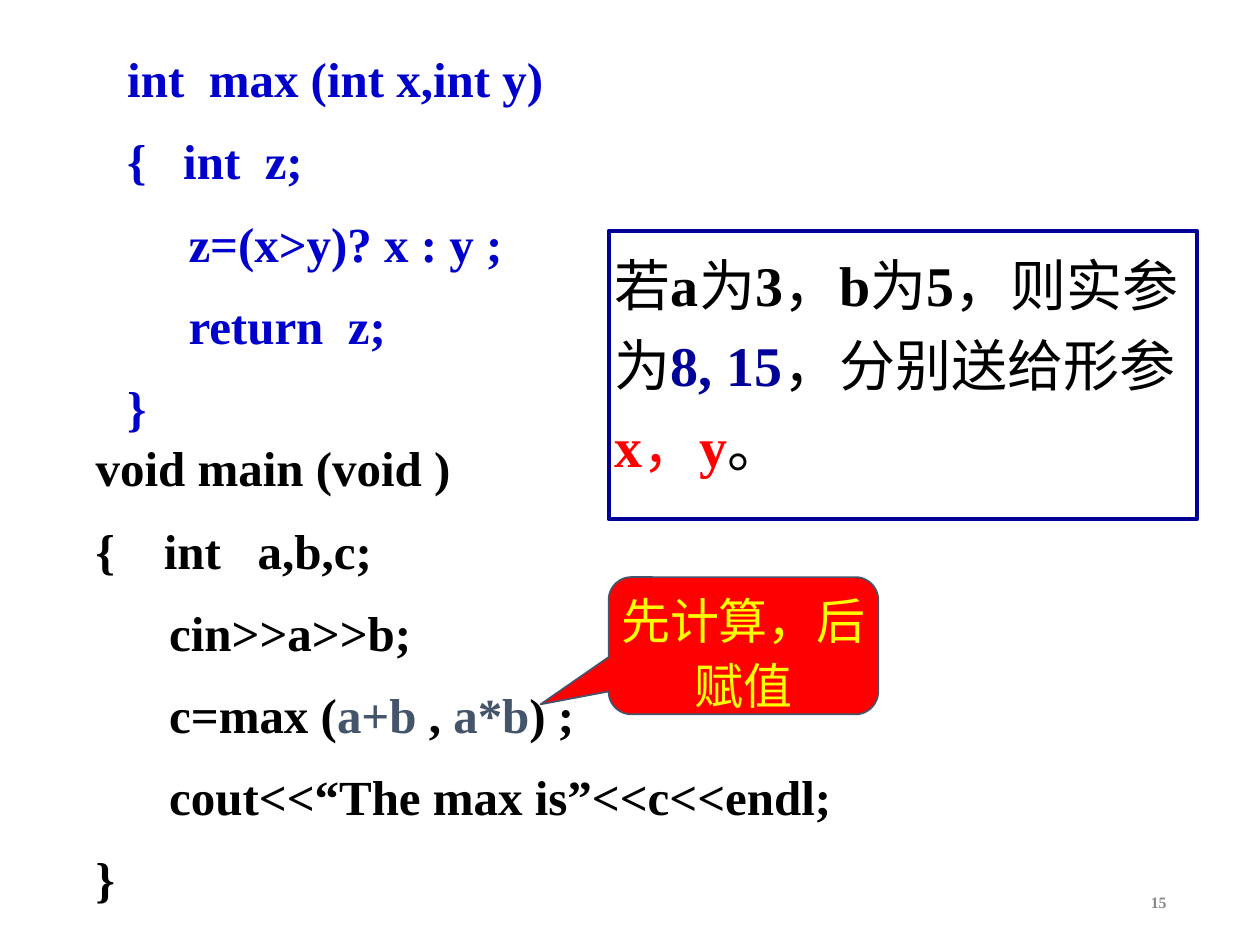
from dataclasses import dataclass

from pptx import Presentation
from pptx.dml.color import RGBColor
from pptx.enum.shapes import MSO_SHAPE as Preset
from pptx.enum.text import MSO_ANCHOR as Anchor, MSO_AUTO_SIZE as AutoSize, PP_ALIGN as Align
from pptx.oxml.ns import qn
from pptx.util import Pt


@dataclass(frozen=True)
class Theme:
    latin: str = "Times New Roman"
    chinese: str = "Noto Sans CJK SC"
    black: str = "000000"
    blue: str = "0000CC"
    navy: str = "000099"
    slate: str = "44546A"
    red: str = "FF0000"
    yellow: str = "FFFF00"
    grey: str = "888888"
    code_size: float = 28
    note_size: float = 32
    number_size: float = 9


THEME = Theme()
INDENT = 7


def add_run(paragraph, text, size, color, font=THEME.latin):
    run = paragraph.add_run()
    run.text = text
    run.font.size = Pt(size)
    run.font.name = font
    run.font.bold = font == THEME.latin
    run.font.color.rgb = RGBColor.from_string(color)
    east_asian = run.font._element.makeelement(qn("a:ea"), {"typeface": font})
    run.font._element.find(qn("a:latin")).addnext(east_asian)


def set_frame(frame, inset, anchor=Anchor.TOP, wrap=True, fit=True):
    frame.word_wrap = wrap
    frame.auto_size = AutoSize.SHAPE_TO_FIT_TEXT if fit else AutoSize.NONE
    frame.vertical_anchor = anchor
    frame.margin_left = frame.margin_right = Pt(inset)
    frame.margin_top = frame.margin_bottom = Pt(inset)


def set_paragraph(paragraph, spacing, before, align=Align.LEFT):
    paragraph.line_spacing = spacing
    paragraph.space_before = Pt(before)
    paragraph.alignment = align


def add_code(slide, box, lines):
    frame = slide.shapes.add_textbox(*map(Pt, box)).text_frame
    set_frame(frame, 0.72)
    for number, (indent, pieces) in enumerate(lines):
        line = frame.add_paragraph() if number else frame.paragraphs[0]
        set_paragraph(line, 1.1, 10)
        if indent:
            properties = line._p.get_or_add_pPr()
            properties.set("marL", str(Pt(indent * INDENT)))
            properties.set("indent", "0")
        for text, color in pieces:
            add_run(line, text, THEME.code_size, color)


def add_panel(slide, preset, box, border, width, fill=None):
    panel = slide.shapes.add_shape(preset, *map(Pt, box))
    panel.shadow.inherit = False
    if fill:
        panel.fill.solid()
        panel.fill.fore_color.rgb = RGBColor.from_string(fill)
    else:
        panel.fill.background()
    panel.line.color.rgb = RGBColor.from_string(border)
    panel.line.width = Pt(width)
    return panel


def add_note(slide, box, pieces):
    frame = add_panel(slide, Preset.RECTANGLE, box, THEME.navy, 2.25).text_frame
    set_frame(frame, 3.6)
    set_paragraph(frame.paragraphs[0], 1.2, 19)
    for text, font, color in pieces:
        add_run(frame.paragraphs[0], text, THEME.note_size, color, font)


def add_callout(slide, box, tip, text):
    callout = add_panel(slide, Preset.ROUNDED_RECTANGULAR_CALLOUT, box,
                        THEME.slate, 1, THEME.red)
    left, top, width, height = box
    callout.adjustments[0] = (tip[0] - left) / width - 0.5
    callout.adjustments[1] = (tip[1] - top) / height - 0.5
    callout.adjustments[2] = 1 / 6
    frame = callout.text_frame
    set_frame(frame, 0.72, fit=False)
    set_paragraph(frame.paragraphs[0], 1.1, 16, Align.CENTER)
    add_run(frame.paragraphs[0], text, THEME.code_size, THEME.yellow, THEME.chinese)


def add_slide_number(slide, box, text):
    frame = slide.shapes.add_textbox(*map(Pt, box)).text_frame
    set_frame(frame, 3.6, Anchor.MIDDLE, wrap=False)
    set_paragraph(frame.paragraphs[0], 1.2, 5, Align.RIGHT)
    add_run(frame.paragraphs[0], text, THEME.number_size, THEME.grey)


def main():
    deck = Presentation()
    deck.slide_width, deck.slide_height = Pt(720), Pt(540)
    slide = deck.slides.add_slide(deck.slide_layouts[6])
    black, blue, slate, red = THEME.black, THEME.blue, THEME.slate, THEME.red
    latin, chinese = THEME.latin, THEME.chinese

    add_slide_number(slide, (653, 506.2, 17.3, 16.6), "15")
    add_code(slide, (72, 23.8, 498.2, 213.1), [
        (0, [("int  max (int x,int y)", blue)]),
        (0, [("{   int  z;", blue)]),
        (5, [("z=(x>y)? x : y ;", blue)]),
        (5, [("return  z;", blue)]),
        (0, [("}", blue)]),
    ])
    add_code(slide, (54, 246.2, 504, 258.5), [
        (0, [("void main (void )", black)]),
        (0, [("{    int   a,b,c;", black)]),
        (6, [("cin>>a>>b;", black)]),
        (6, [("c=max (", black), ("a+b", slate), (" , ", black),
             ("a*b", slate), (") ;", black)]),
        (6, [("cout<<“The max is”<<c<<endl;", black)]),
        (0, [("}", black)]),
    ])
    add_callout(slide, (347.8, 329.8, 154.1, 78.4), (308.9, 402.5), "先计算，后赋值")
    add_note(slide, (347.8, 131.8, 336.2, 164.9), [
        ("若", chinese, black), ("a", latin, black),
        ("为", chinese, black), ("3", latin, black),
        ("，", chinese, black), ("b", latin, black),
        ("为", chinese, black), ("5", latin, black),
        ("，则实参为", chinese, black), ("8, 15", latin, THEME.navy),
        ("，分别送给形参", chinese, black), ("x", latin, red),
        ("，", chinese, red), ("y", latin, red), ("。", chinese, black),
    ])
    deck.save("out.pptx")


if __name__ == "__main__":
    main()
